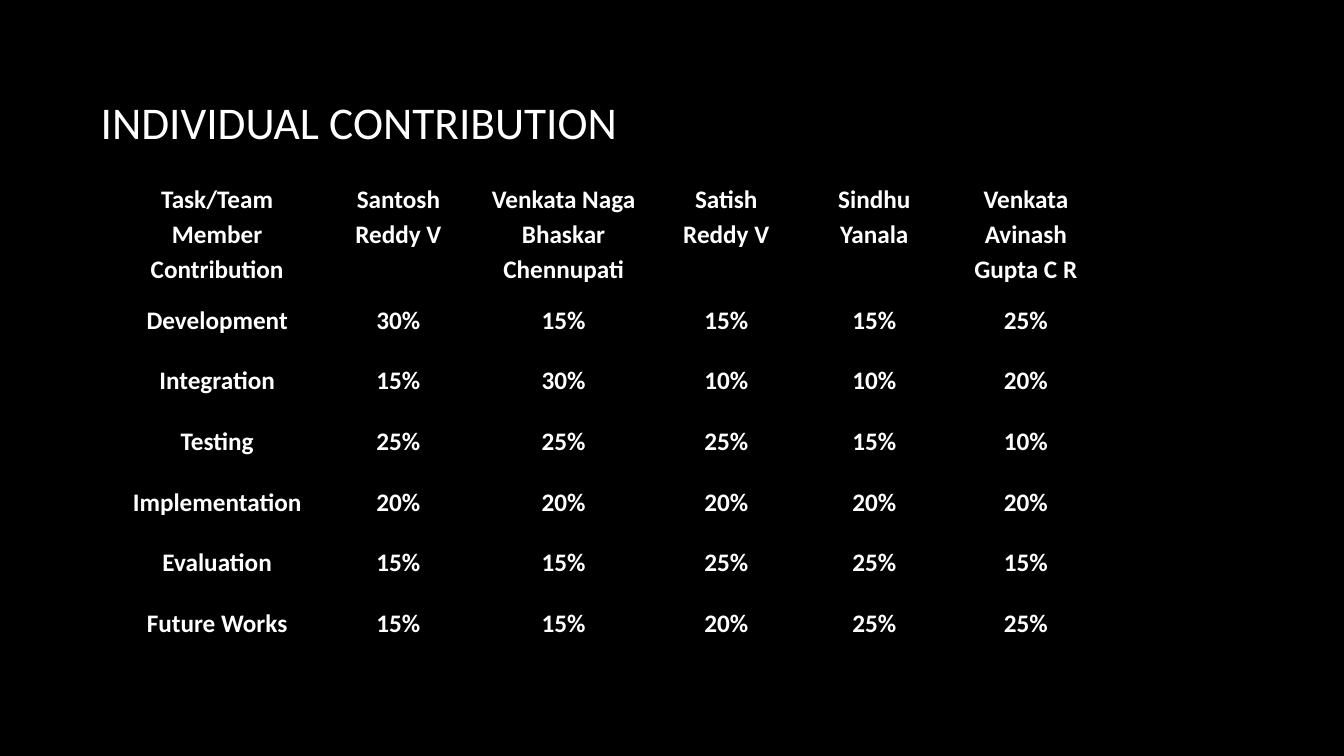
from lxml import etree
from pptx import Presentation
from pptx.dml.color import RGBColor
from pptx.enum.text import MSO_ANCHOR, PP_ALIGN
from pptx.oxml.ns import qn
from pptx.util import Inches, Pt

CENTER = PP_ALIGN.CENTER
TOP = MSO_ANCHOR.TOP
MIDDLE = MSO_ANCHOR.MIDDLE

BLACK = RGBColor(0x00, 0x00, 0x00)
WHITE = RGBColor(0xFF, 0xFF, 0xFF)
FONT = "Calibri"

COLUMN_WIDTHS = [2.09, 1.51, 1.77, 1.46, 1.48, 1.53]
HEADER_SHARE = 2
MEMBERS = [
    "Task/Team Member Contribution",
    "Santosh Reddy V",
    "Venkata Naga Bhaskar Chennupati",
    "Satish Reddy V",
    "Sindhu Yanala",
    "Venkata Avinash Gupta C R",
]
CONTRIBUTIONS = {
    "Development": [30, 15, 15, 15, 25],
    "Integration": [15, 30, 10, 10, 20],
    "Testing": [25, 25, 25, 15, 10],
    "Implementation": [20, 20, 20, 20, 20],
    "Evaluation": [15, 15, 25, 25, 15],
    "Future Works": [15, 15, 20, 25, 25],
}


def format_text(para, size, bold=False):
    for span in para.runs:
        span.font.name = FONT
        span.font.size = Pt(size)
        span.font.bold = bold
        span.font.color.rgb = WHITE


def add_title(page, left, top, width, height):
    box = page.shapes.add_textbox(Inches(left), Inches(top), Inches(width), Inches(height))
    frame = box.text_frame
    frame.word_wrap = True
    frame.vertical_anchor = MIDDLE
    frame.text = "INDIVIDUAL CONTRIBUTION"
    format_text(frame.paragraphs[0], 32.4)


def add_borders(cell):
    properties = cell._tc.get_or_add_tcPr()
    for side in ("a:lnL", "a:lnR", "a:lnT", "a:lnB"):
        line = etree.SubElement(properties, qn(side), w=str(Pt(1)))
        fill = etree.SubElement(line, qn("a:solidFill"))
        etree.SubElement(fill, qn("a:srgbClr"), val=str(BLACK))


def fill_cell(cell, text):
    add_borders(cell)
    cell.fill.background()
    cell.margin_left = cell.margin_right = Inches(0.07)
    cell.margin_top = cell.margin_bottom = 0
    cell.vertical_anchor = TOP
    cell.text_frame.text = text
    para = cell.text_frame.paragraphs[0]
    para.alignment = CENTER
    para.line_spacing = 1.15
    format_text(para, 18, bold=True)


def add_contribution_table(page, left, top, width, height):
    rows = [MEMBERS]
    for task, shares in CONTRIBUTIONS.items():
        rows.append([task] + [f"{share}%" for share in shares])
    frame = page.shapes.add_table(
        len(rows), len(MEMBERS), Inches(left), Inches(top), Inches(width), Inches(height)
    )
    table = frame.table
    table.first_row = False
    table.horz_banding = False
    for column, share in zip(table.columns, COLUMN_WIDTHS):
        column.width = Inches(width * share / sum(COLUMN_WIDTHS))
    row_height = height / (len(CONTRIBUTIONS) + HEADER_SHARE)
    for index, texts in enumerate(rows):
        share = HEADER_SHARE if index == 0 else 1
        table.rows[index].height = Inches(row_height * share)
        for cell, text in zip(table.rows[index].cells, texts):
            fill_cell(cell, text)


def main():
    deck = Presentation()
    deck.slide_width = Inches(13.33)
    deck.slide_height = Inches(7.5)
    page = deck.slides.add_slide(deck.slide_layouts[6])
    page.background.fill.solid()
    page.background.fill.fore_color.rgb = BLACK
    add_title(page, 0.9, 0.88, 10.11, 0.64)
    add_contribution_table(page, 1.11, 1.78, 9.83, 4.81)
    deck.save("out.pptx")


if __name__ == "__main__":
    main()
